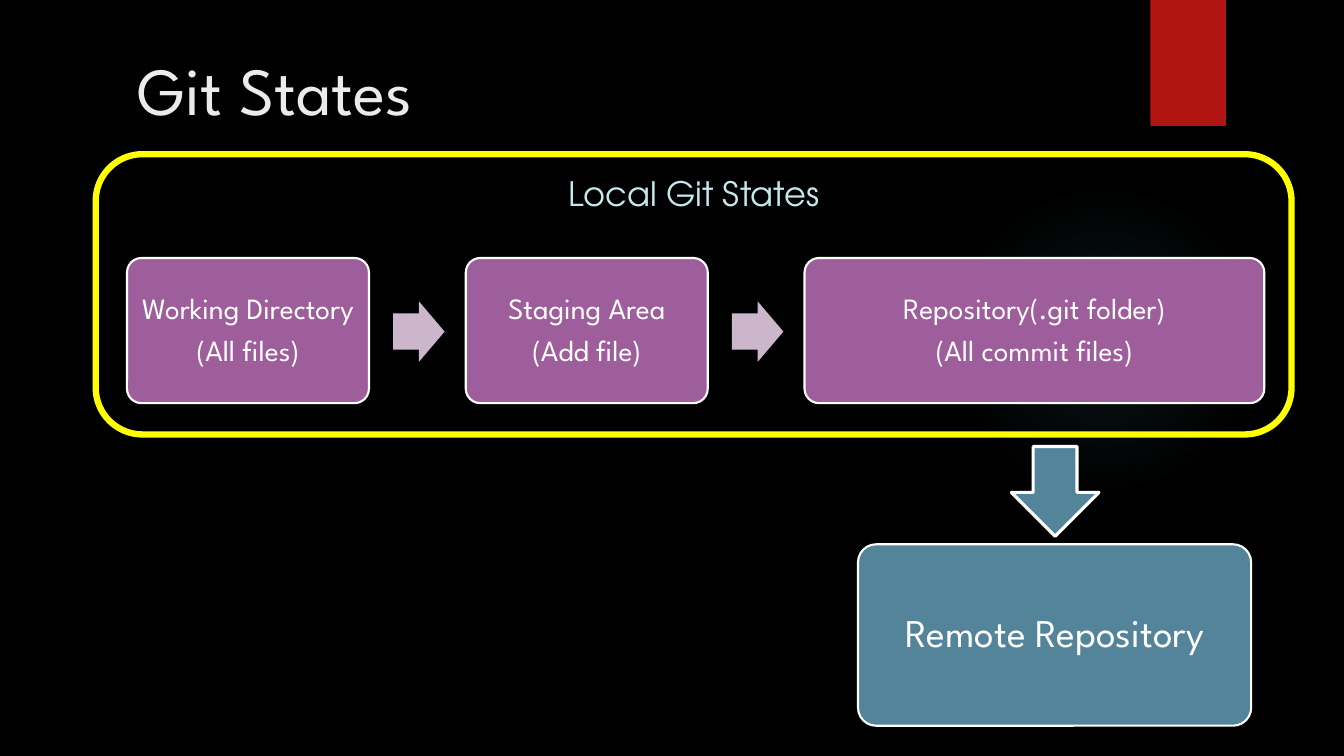
from lxml import etree
from pptx import Presentation
from pptx.dml.color import RGBColor
from pptx.enum import shapes, text
from pptx.oxml import ns, parse_xml
from pptx.util import Inches, Pt

BODY_FONT = "League Spartan"
LABEL_FONT = "TeX Gyre Adventor"
WHITE, PURPLE, MAUVE, TEAL = "FFFFFF", "9E5E9B", "CCB6CB", "54849A"
KIND = shapes.MSO_SHAPE


def colour(value):
    return RGBColor.from_string(value)


def set_text(shape, lines, size, font, value, align, spacing=None):
    shape.text_frame.text = "\n".join(lines)
    for paragraph in shape.text_frame.paragraphs:
        paragraph.alignment = align
        if spacing:
            paragraph.line_spacing = spacing
            # Space after as a share of the text size
            after = etree.SubElement(paragraph._p.get_or_add_pPr(), ns.qn("a:spcAft"))
            etree.SubElement(after, ns.qn("a:spcPct"), val="35000")
        run_font = paragraph.runs[0].font
        for name, setting in {"size": Pt(size), "name": font, "bold": False}.items():
            setattr(run_font, name, setting)
        run_font.color.rgb = colour(value)


def add_shape(slide, kind, box, fill=None, line=None, width=1.5, adjust=()):
    shape = slide.shapes.add_shape(kind, *map(Inches, box))
    shape.shadow.inherit = False
    if fill:
        shape.fill.solid()
        shape.fill.fore_color.rgb = colour(fill)
    else:
        shape.fill.background()
    if line:
        shape.line.color.rgb = colour(line)
        shape.line.width = Pt(width)
    else:
        shape.line.fill.background()
    for index, amount in enumerate(adjust):
        shape.adjustments[index] = amount
    return shape


def add_glow(slide, box):
    shape = add_shape(slide, KIND.OVAL, box)
    stops = "".join(
        f'<a:gs pos="{position}000"><a:srgbClr val="50B9C1">'
        f'<a:alpha val="{alpha}000"/></a:srgbClr></a:gs>'
        for position, alpha in ((0, 7), (36, 6), (69, 0), (100, 0)))
    gradient = parse_xml(
        f'<a:gradFill {ns.nsdecls("a")}><a:gsLst>{stops}</a:gsLst><a:path path="circle">'
        '<a:fillToRect l="50000" t="50000" r="50000" b="50000"/></a:path></a:gradFill>')
    properties = shape._element.spPr
    properties.replace(properties.find(ns.qn("a:noFill")), gradient)


def add_card(slide, box, lines, size, fill, margin):
    card = add_shape(slide, KIND.ROUNDED_RECTANGLE, box, fill, WHITE, adjust=[0.1])
    frame = card.text_frame
    settings = {"word_wrap": True, "vertical_anchor": text.MSO_ANCHOR.MIDDLE}
    settings.update({f"margin_{side}": Inches(margin)
                     for side in ("left", "top", "right", "bottom")})
    for name, setting in settings.items():
        setattr(frame, name, setting)
    set_text(card, lines, size, BODY_FONT, WHITE, text.PP_ALIGN.CENTER, 0.9)


def add_title(slide, title_text):
    title = slide.shapes.title
    for name, length in {"left": 1.26, "top": 0.43, "width": 10.6, "height": 0.86}.items():
        setattr(title, name, Inches(length))
    title.text_frame.auto_size = text.MSO_AUTO_SIZE.NONE
    title.text_frame.vertical_anchor = text.MSO_ANCHOR.TOP
    set_text(title, [title_text], 48, BODY_FONT, "EBEBEB", text.PP_ALIGN.LEFT)


def add_local_steps(slide):
    steps = [
        (2.4, ["Working Directory", "(All files)"]),
        (2.4, ["Staging Area", "(Add file)"]),
        (4.56, ["Repository(.git folder)", "(All commit files)"]),
    ]
    left, top, height, gap = 1.26, 2.56, 1.44, 0.96
    for index, (width, lines) in enumerate(steps):
        if index:
            add_shape(slide, KIND.RIGHT_ARROW, (left - 0.72, 2.99, 0.51, 0.6),
                      MAUVE, adjust=[0.6, 0.5])
        add_card(slide, (left, top, width, height), lines, 21, PURPLE, 0.09)
        left += width + gap


def add_local_frame(slide):
    frame = add_shape(slide, KIND.ROUNDED_RECTANGLE, (0.95, 1.53, 11.86, 2.78),
                      line="FFFF00", width=4.5)
    frame.text_frame.vertical_anchor = text.MSO_ANCHOR.TOP
    set_text(frame, ["Local Git States"], 24, LABEL_FONT, "C5E8EA", text.PP_ALIGN.CENTER)


def main():
    presentation = Presentation()
    presentation.slide_width, presentation.slide_height = Inches(13.33), Inches(7.5)
    slide = presentation.slides.add_slide(presentation.slide_layouts[5])

    # Background and decoration
    slide.background.fill.solid()
    slide.background.fill.fore_color.rgb = colour("000000")
    add_glow(slide, (9.41, 1.83, 3.08, 3.08))
    add_shape(slide, KIND.RECTANGLE, (11.41, 0, 0.75, 1.25), "B01513")

    # Title and local states
    add_title(slide, "Git States")
    add_local_steps(slide)

    # Remote repository
    add_card(slide, (8.51, 5.4, 3.9, 1.8), ["Remote Repository"], 28, TEAL, 0.12)
    add_shape(slide, KIND.DOWN_ARROW, (10.03, 4.43, 0.87, 0.89), TEAL, WHITE, 2.25)

    # Frame around the local states
    add_local_frame(slide)
    presentation.save("out.pptx")


if __name__ == "__main__":
    main()
